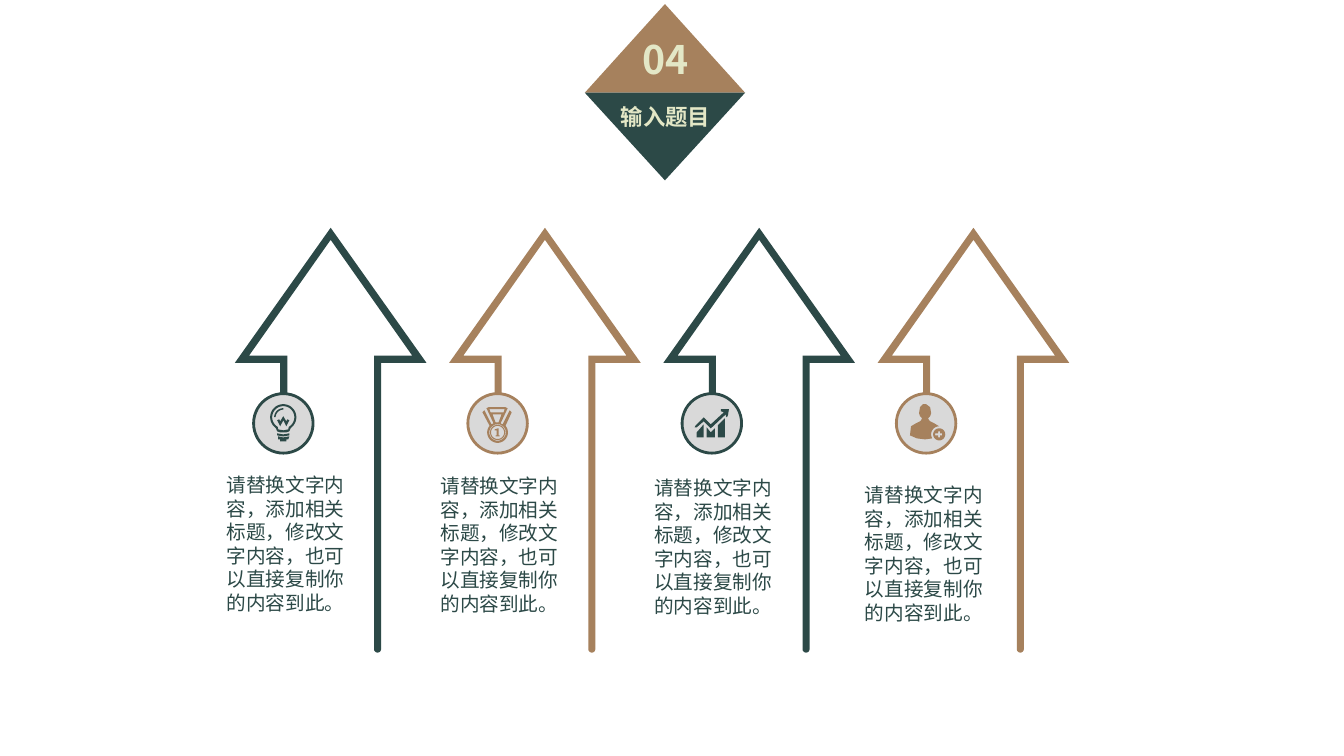
from math import cos, radians, sin

from pptx import Presentation
from pptx.dml.color import RGBColor
from pptx.enum.shapes import MSO_SHAPE as Preset
from pptx.enum.text import MSO_ANCHOR as Anchor, MSO_AUTO_SIZE as AutoSize, PP_ALIGN as Align
from pptx.oxml.ns import qn
from pptx.util import Inches, Pt

GREEN = RGBColor(0x2C, 0x49, 0x47)
BROWN = RGBColor(0xA6, 0x81, 0x5D)
CREAM = RGBColor(0xE3, 0xE7, 0xC6)
GREY = RGBColor(0xD9, 0xD9, 0xD9)
FONT = "Noto Sans CJK SC"
BODY = "请替换文字内容，添加相关标题，修改文字内容，也可以直接复制你的内容到此。"

COLUMN_PITCH = 2.125
FIRST_CENTER, CENTER_Y = 2.81, 4.2
DISC = 0.59
BODY_BOXES = [(2.15, 4.63), (4.27, 4.64), (6.39, 4.66), (8.48, 4.73)]


def arc(x, y, radius, start=0, end=360, steps=32):
    """Points along an arc, angles clockwise from the right."""
    angles = [radians(start + (end - start) * i / steps) for i in range(steps + 1)]
    return [(x + radius * cos(a), y + radius * sin(a)) for a in angles]


# Outlines in hundredths of an inch from the middle of the disc
ARROW = [[(142, -60), (97, -60), *arc(93.5, 224, 3.5, 0, 180, 12), (90, -67), (128, -67),
          (47, -182), (-34, -67), (4, -67), (4, -30), (-3, -30), (-3, -60),
          (-48, -60), (47, -194)]]
BULB = [
    [(-5, 13), (-5, 16), (-3, 16), (-3, 18), (3, 18), (3, 16), (5, 16), (6, 13), (0, 14)],
    [(-6, 10), (-6, 12), (0, 13), (6, 12), (6, 10), (0, 11)],
    [*arc(0, -6, 13, 125, 415), (6, 8), (3, 9), (-3, 9), (-6, 8)],
    [*arc(0, -6, 11, 120, 420), (5, 6), (0, 7), (-5, 6)],
    [(4, -4), (3, -2), (0, -7), (-3, -2), (-4, -4), (-6, -3), (-3, 3), (0, -3),
     (3, 3), (6, -3)],
    [*arc(0, -6, 9, 180, 270), *arc(0, -6, 7.5, 270, 180)],
]
MEDAL = [
    [(14, -11), (12, -13), (5, 1), (3, 0), (10, -15), (8, -16), (-9, -16), (-11, -15),
     (-4, 0), (-6, 1), (-13, -13), (-15, -11), *arc(0, 9, 10.3, 220, -40)],
    [(-8, -14), (7, -14), (6, -11), (-7, -11)],
    [(-5, -9), (4, -9), (1, -1), (-2, -1)],
    *[arc(0, 9, radius) for radius in (8.2, 7.5, 6.5)],
    [(1, 5), (0, 5), (-3, 6), (-3, 7), (-1, 7), (-1, 12), (-2, 12), (-2, 13),
     (2, 13), (2, 12), (1, 12)],
]
GROWTH = [
    [(-15, 14), (-8, 14), (-8, 1), (-15, 9)],
    [(-5, 4), (-5, 14), (3, 14), (3, 5), (-1, 9)],
    [(6, 2), (6, 14), (13, 14), (13, -5), (7, 1)],
    [(9, -14), (9, -12), (12, -11), (-1, 1), (-8, -6), (-16, 2), (-17, 4), (-15, 4),
     (-8, -2), (-1, 5), (14, -9), (14, -7), (15, -6), (16, -8), (17, -14)],
]
PERSON = [
    [(8, 0), (4, -2), (3, -3), (2, -5), (4, -7), (5, -10), (4, -16), (0, -19), (-3, -19),
     (-6, -16), (-7, -10), (-6, -7), (-4, -5), (-5, -3), (-6, -2), (-10, 0), (-15, 3),
     (-16, 12), (-9, 15), (-1, 16), *arc(13, 11, 8, 150, 270)],
    arc(13, 11, 6),
    [(9, 10), (12, 10), (12, 8), (14, 8), (14, 10), (16, 10), (16, 12), (14, 12),
     (14, 14), (12, 14), (12, 12), (9, 12)],
]


class SlideBuilder:
    def __init__(self, presentation):
        self.slide = presentation.slides.add_slide(presentation.slide_layouts[5])
        self.shapes = self.slide.shapes

    def paint(self, shape, fill, line=None):
        shape.shadow.inherit = False
        shape.fill.solid()
        shape.fill.fore_color.rgb = fill
        if line is None:
            shape.line.fill.background()
        else:
            shape.line.color.rgb = line
            shape.line.width = Pt(2)

    def preset(self, kind, left, top, width, height, fill, line=None):
        shape = self.shapes.add_shape(kind, *map(Inches, (left, top, width, height)))
        self.paint(shape, fill, line)
        return shape

    def outline(self, contours, center_x, center_y, fill):
        placed = [[(Inches(center_x + x / 100), Inches(center_y + y / 100)) for x, y in contour]
                  for contour in contours]
        builder = self.shapes.build_freeform(*placed[0][0])
        for index, contour in enumerate(placed):
            if index:
                builder.move_to(*contour[0])
            builder.add_line_segments(contour[1:], close=True)
        self.paint(builder.convert_to_shape(), fill)

    def set_text(self, shape, text, size, color, bold=False, wrap=True, align=Align.LEFT):
        frame = shape.text_frame
        frame.text = text
        frame.word_wrap = wrap
        frame.auto_size = AutoSize.NONE
        frame.vertical_anchor = Anchor.TOP
        frame.margin_left = frame.margin_right = Inches(0.1)
        frame.margin_top = Inches(0.05 + size / 1000)
        frame.margin_bottom = Inches(0.05)
        paragraph = frame.paragraphs[0]
        paragraph.alignment = align
        paragraph.line_spacing = Pt(size * 1.2)
        run = paragraph.runs[0]
        run.font.name, run.font.size, run.font.bold = FONT, Pt(size), bold
        run.font.color.rgb = color
        east_asian = run.font._element.makeelement(qn("a:ea"), {"typeface": FONT})
        run.font._element.find(qn("a:latin")).addnext(east_asian)

    def text(self, left, top, width, height, text, size, color, **style):
        box = self.shapes.add_textbox(*map(Inches, (left, top, width, height)))
        self.set_text(box, text, size, color, **style)

    def title(self, left, top, width, height, text, size, color, **style):
        title = self.shapes.title
        title.left, title.top, title.width, title.height = map(
            Inches, (left, top, width, height))
        self.set_text(title, text, size, color, **style)
        self.shapes._spTree.append(title._element)  # bring to the front


def main():
    presentation = Presentation()
    presentation.slide_width, presentation.slide_height = Inches(13.33), Inches(7.5)
    builder = SlideBuilder(presentation)

    # Section badge
    builder.preset(Preset.ISOSCELES_TRIANGLE, 5.8, 0.04, 1.59, 0.88, BROWN)
    lower = builder.preset(Preset.ISOSCELES_TRIANGLE, 5.8, 0.92, 1.59, 0.87, GREEN)
    lower._element.spPr.find(qn("a:xfrm")).set("flipV", "1")
    badge_style = {"bold": True, "wrap": False, "align": Align.CENTER}
    builder.text(6.26, 0.27, 0.69, 0.57, "04", 28, CREAM, **badge_style)
    builder.title(6.05, 0.96, 1.1, 0.37, "输入题目", 16, CREAM, **badge_style)

    # Arrow columns
    icons = [BULB, MEDAL, GROWTH, PERSON]
    for index, (icon, (left, top)) in enumerate(zip(icons, BODY_BOXES)):
        color = (GREEN, BROWN)[index % 2]
        center = FIRST_CENTER + index * COLUMN_PITCH
        builder.outline(ARROW, center, CENTER_Y, color)
        builder.preset(Preset.OVAL, center - DISC / 2, CENTER_Y - DISC / 2,
                       DISC, DISC, GREY, color)
        builder.outline(icon, center, CENTER_Y, color)
        builder.text(left, top, 1.46, 1.51, BODY, 14, GREEN)

    presentation.save("out.pptx")


if __name__ == "__main__":
    main()
